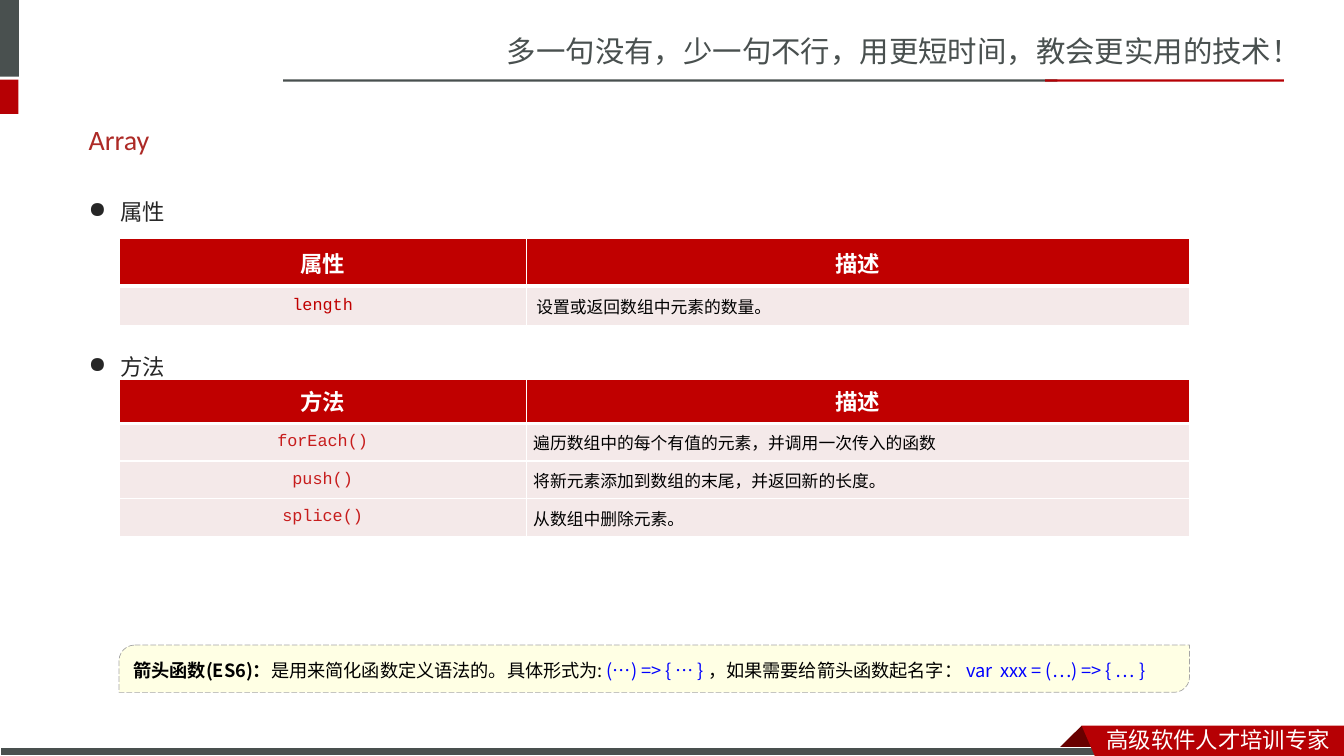
from dataclasses import dataclass
from typing import Any, NamedTuple

from lxml import etree
from pptx import Presentation
from pptx.dml.color import RGBColor
from pptx.enum.dml import MSO_LINE
from pptx.enum.shapes import MSO_SHAPE
from pptx.enum.text import MSO_ANCHOR, PP_ALIGN
from pptx.oxml.ns import qn
from pptx.util import Pt

RECT = MSO_SHAPE.RECTANGLE
ROUND = MSO_SHAPE.ROUND_2_DIAG_RECTANGLE
DASH = MSO_LINE.LONG_DASH
TOP, MID = MSO_ANCHOR.TOP, MSO_ANCHOR.MIDDLE
LEFT, MIDST = PP_ALIGN.LEFT, PP_ALIGN.CENTER


@dataclass(frozen=True)
class Theme:
    grey: str = "49504F"
    red: str = "B60004"
    fold: str = "680000"
    white: str = "FFFFFF"
    black: str = "000000"
    ink: str = "262626"
    title: str = "AD2A26"
    head: str = "C00000"
    name: str = "C71C1C"
    row: str = "F4E9E9"
    note: str = "FFFFE4"
    edge: str = "A6A6A6"
    blue: str = "0000FF"
    sans: str = "Noto Sans CJK SC"
    body: str = "Noto Sans CJK JP"
    latin: str = "Calibri"
    mono: str = "Courier New"
    slogan: float = 21
    large: float = 20
    mid: float = 16
    hint: float = 13
    small: float = 12


T = Theme()


class Box(NamedTuple):
    x: float
    y: float
    w: float
    h: float


class Run(NamedTuple):
    text: str
    size: float
    font: str
    tint: str
    bold: bool = False


class Bar(NamedTuple):
    box: Box
    tint: str
    edge: str | None = None


class Flag(NamedTuple):
    dots: list[tuple[float, float]]
    tint: str


class Label(NamedTuple):
    box: Box
    run: Run
    anchor: Any = TOP
    dot: bool = False


class Grid(NamedTuple):
    box: Box
    rows: list[float]
    pad: tuple[float, float]
    tint: str
    cells: list[tuple[str, str]]


BARS = [
    Bar(Box(0, 0, 13.5, 54.7), T.grey),
    Bar(Box(0, 56.9, 13.2, 24.5), T.red),
    Bar(Box(202.3, 56.7, 553, 1.6), T.grey),
    Bar(Box(746.6, 56.7, 170.6, 1.6), T.red),
]
BASE = Bar(Box(0, 533.7, 791, 6.3), T.grey, T.white)
FOLD = Flag([(772.6, 518.4), (788.4, 534.2), (787.7, 535), (757.4, 535), (756.7, 534.2)], T.fold)
BAND = Flag([(772.6, 518.4), (960, 518.4), (960, 540), (782, 540)], T.red)
LABELS = [
    Label(Box(355, 20.2, 605, 34), Run("多一句没有，少一句不行，用更短时间，教会更实用的技术！", T.slogan, T.sans, T.grey)),
    Label(Box(783.4, 514.8, 176.6, 26.6), Run("高级软件人才培训专家", T.mid, T.sans, T.white)),
    Label(Box(56.2, 79.2, 842.4, 41), Run("Array", T.large, T.latin, T.title), MID),
    Label(Box(56.2, 128.2, 842.4, 41), Run("属性", T.mid, T.body, T.ink), dot=True),
    Label(Box(56.2, 239, 842.4, 41), Run("方法", T.mid, T.body, T.ink), dot=True),
]
COLS = [290.9, 473.8]
GRIDS = [
    Grid(Box(85, 170.6, 764.7, 62.6), [33.8, 28.1], (7.2, 3.6), T.head, [
        ("属性", "描述"),
        ("length", "设置或返回数组中元素的数量。"),
    ]),
    Grid(Box(85, 270.7, 764.7, 112.3), [31.7, 26.9, 26.9, 26.9], (5, 5), T.name, [
        ("方法", "描述"),
        ("forEach()", "遍历数组中的每个有值的元素，并调用一次传入的函数"),
        ("push()", "将新元素添加到数组的末尾，并返回新的长度。"),
        ("splice()", "从数组中删除元素。"),
    ]),
]
NOTE = Box(85, 460.8, 764.7, 33.8)
HINT = [
    Run("箭头函数(ES6)：", T.hint, T.body, T.black, True),
    Run("是用来简化函数定义语法的。具体形式为: ", T.hint, T.body, T.black),
    Run("(…) => { … } ", T.hint, T.body, T.blue),
    Run("，如果需要给箭头函数起名字： ", T.hint, T.body, T.black),
    Run("var  xxx = (…) => { … }", T.hint, T.body, T.blue),
]


def place(box: Box) -> list[Pt]:
    return [Pt(v) for v in box]


def write(para: Any, runs: list[Run]) -> None:
    for item in runs:
        run = para.add_run()
        run.text = item.text
        font = run.font
        font.size, font.name, font.bold = Pt(item.size), item.font, item.bold
        font.color.rgb = RGBColor.from_string(item.tint)
        east = item.font if "CJK" in item.font else T.body
        etree.SubElement(run._r.get_or_add_rPr(), qn("a:ea"), typeface=east)


def paint(shape: Any, tint: str, edge: str | None = None, width: float = 0.75) -> None:
    shape.shadow.inherit = False
    shape.fill.solid()
    shape.fill.fore_color.rgb = RGBColor.from_string(tint)
    if edge is None:
        shape.line.fill.background()
    else:
        shape.line.color.rgb = RGBColor.from_string(edge)
        shape.line.width = Pt(width)


def draw_bar(slide: Any, bar: Bar) -> None:
    paint(slide.shapes.add_shape(RECT, *place(bar.box)), bar.tint, bar.edge)


def draw_flag(slide: Any, flag: Flag) -> None:
    dots = [(Pt(x), Pt(y)) for x, y in flag.dots]
    path = slide.shapes.build_freeform(*dots[0])
    path.add_line_segments(dots[1:], close=True)
    paint(path.convert_to_shape(), flag.tint)


def draw_label(slide: Any, label: Label) -> None:
    frame = slide.shapes.add_textbox(*place(label.box)).text_frame
    frame.word_wrap = True
    frame.vertical_anchor = label.anchor
    para = frame.paragraphs[0]
    if label.dot:
        props = para._p.get_or_add_pPr()
        props.set("marL", str(Pt(22.5)))
        props.set("indent", str(-Pt(22.5)))
        etree.SubElement(props, qn("a:buChar"), char="●")
        para.line_spacing = 1.5
    write(para, [label.run])


def edge_cell(cell: Any, base: float) -> None:
    props = cell._tc.get_or_add_tcPr()
    for side, width in zip("LRTB", (1, 1, 1, base)):
        line = etree.SubElement(props, qn(f"a:ln{side}"), w=str(Pt(width)))
        fill = etree.SubElement(line, qn("a:solidFill"))
        etree.SubElement(fill, qn("a:srgbClr"), val=T.white)


def draw_grid(slide: Any, grid: Grid) -> None:
    table = slide.shapes.add_table(len(grid.rows), len(COLS), *place(grid.box)).table
    for col, width in zip(table.columns, COLS):
        col.width = Pt(width)
    for i, (high, texts) in enumerate(zip(grid.rows, grid.cells)):
        table.rows[i].height = Pt(high)
        top = i == 0
        for j, text in enumerate(texts):
            cell = table.cell(i, j)
            edge_cell(cell, 3 if top else 1)
            cell.fill.solid()
            cell.fill.fore_color.rgb = RGBColor.from_string(T.head if top else T.row)
            cell.vertical_anchor = MID
            side, end = (7.2, 3.6) if top else grid.pad
            cell.margin_left = cell.margin_right = Pt(side)
            cell.margin_top = cell.margin_bottom = Pt(end)
            para = cell.text_frame.paragraphs[0]
            para.alignment = MIDST if top or j == 0 else LEFT
            if top:
                run = Run(text, T.mid, (T.body, T.latin)[j], T.white, True)
            else:
                run = Run(text, T.small, (T.mono, T.body)[j], (grid.tint, T.black)[j])
            write(para, [run])


def draw_note(slide: Any) -> None:
    shape = slide.shapes.add_shape(ROUND, *place(NOTE))
    shape.adjustments[0], shape.adjustments[1] = 0.33, 0
    paint(shape, T.note, T.edge, 0.5)
    shape.line.dash_style = DASH
    frame = shape.text_frame
    frame.word_wrap = True
    frame.vertical_anchor = MID
    frame.margin_top, frame.margin_bottom = Pt(0), Pt(5.8)
    para = frame.paragraphs[0]
    para.alignment, para.line_spacing = LEFT, 1.5
    write(para, HINT)


def main() -> None:
    deck = Presentation()
    deck.slide_width, deck.slide_height = Pt(960), Pt(540)
    slide = deck.slides.add_slide(deck.slide_layouts[6])
    for bar in BARS:
        draw_bar(slide, bar)
    draw_flag(slide, FOLD)
    draw_bar(slide, BASE)
    draw_flag(slide, BAND)
    for label in LABELS:
        draw_label(slide, label)
    for grid in GRIDS:
        draw_grid(slide, grid)
    draw_note(slide)
    deck.save("out.pptx")


if __name__ == "__main__":
    main()
